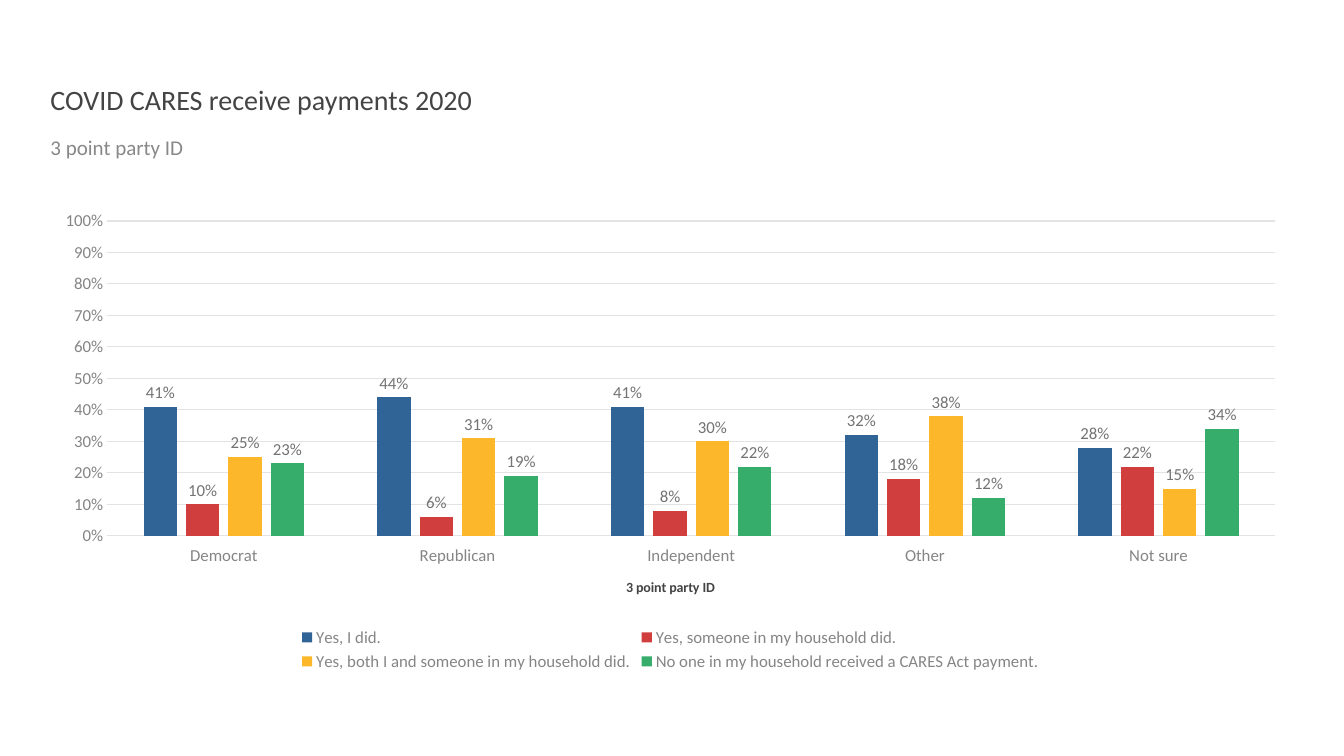
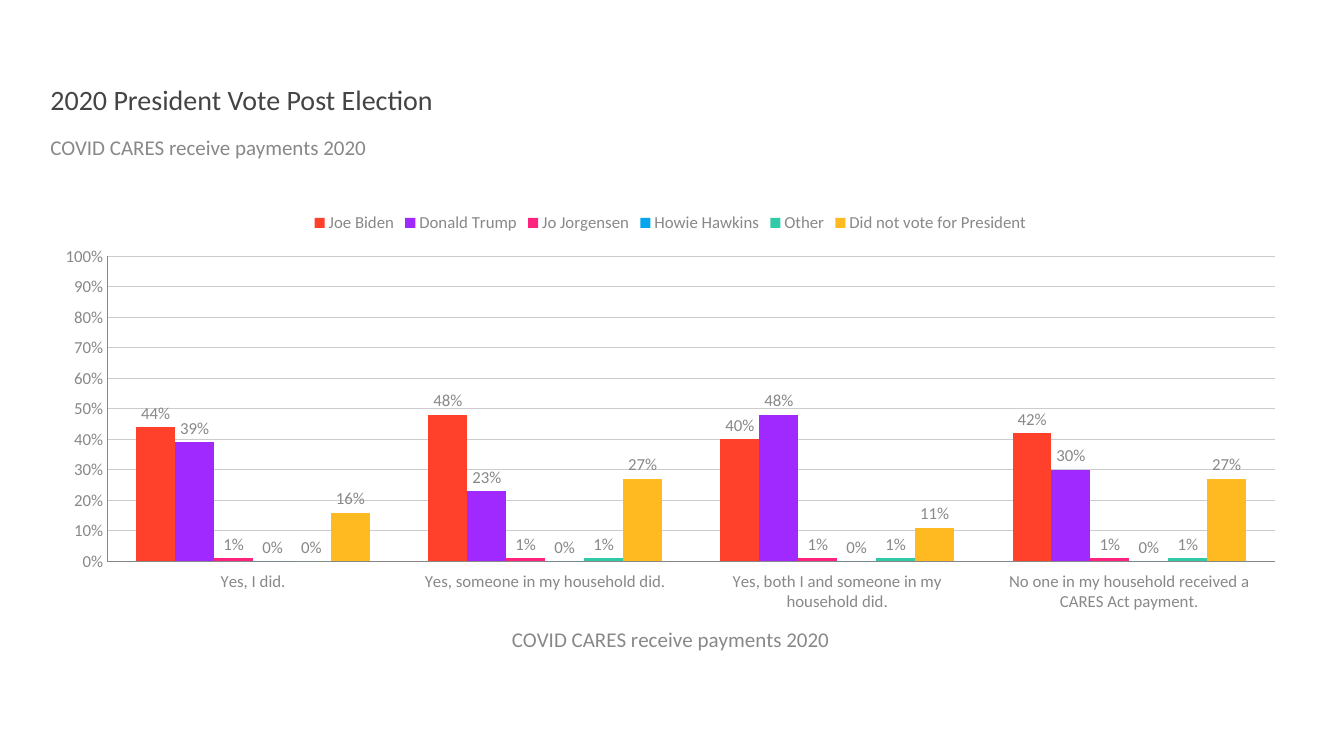
from dataclasses import dataclass

from lxml.etree import SubElement
from pptx import Presentation
from pptx.chart.data import CategoryChartData as Data
from pptx.dml.color import RGBColor
from pptx.enum.chart import XL_CHART_TYPE as Kind
from pptx.enum.chart import XL_LABEL_POSITION as Spot
from pptx.enum.chart import XL_LEGEND_POSITION as Side
from pptx.enum.chart import XL_TICK_LABEL_POSITION as Place
from pptx.enum.chart import XL_TICK_MARK as Tick
from pptx.enum.text import MSO_ANCHOR as Anchor
from pptx.enum.text import MSO_AUTO_SIZE as Fit
from pptx.enum.text import PP_ALIGN as Align
from pptx.oxml.ns import qn
from pptx.util import Inches, Pt

FACE = "Calibri"
DARK = "444444"
GREY = "888888"
LEFT = 0.4
WIDTH = 12.5
ANSWERS = (
    "Yes, I did.",
    "Yes, someone in my household did.",
    "Yes, both I and someone in my household did.",
    "No one in my household received a CARES Act payment.",
)
TOPIC = "COVID CARES receive payments 2020"
PARTY = "3 point party ID"


@dataclass(frozen=True)
class Series:
    name: str
    color: str
    values: tuple[float, ...]


@dataclass(frozen=True)
class Style:
    axis: str
    label: str
    grid: str
    line: str | None
    name_size: int
    name_color: str
    name_bold: bool
    legend: Side
    gap: int
    overlap: int


@dataclass(frozen=True)
class Page:
    title: str
    topic: str
    groups: tuple[str, ...]
    series: tuple[Series, ...]
    style: Style


PAGES = (
    Page(
        TOPIC,
        PARTY,
        ("Democrat", "Republican", "Independent", "Other", "Not sure"),
        (
            Series(ANSWERS[0], "306396", (0.41, 0.44, 0.41, 0.32, 0.28)),
            Series(ANSWERS[1], "D03E3E", (0.1, 0.06, 0.08, 0.18, 0.22)),
            Series(ANSWERS[2], "FDB72A", (0.25, 0.31, 0.3, 0.38, 0.15)),
            Series(ANSWERS[3], "37AD6C", (0.23, 0.19, 0.22, 0.12, 0.34)),
        ),
        Style("858585", "737373", "E3E3E3", "E3E3E3", 10, DARK, True,
              Side.BOTTOM, 219, -27),
    ),
    Page(
        "2020 President Vote Post Election",
        TOPIC,
        ANSWERS,
        (
            Series("Joe Biden", "FF412C", (0.44, 0.48, 0.4, 0.42)),
            Series("Donald Trump", "9F29FF", (0.39, 0.23, 0.48, 0.3)),
            Series("Jo Jorgensen", "FF2380", (0.01, 0.01, 0.01, 0.01)),
            Series("Howie Hawkins", "06A6EE", (0, 0, 0, 0)),
            Series("Other", "31CAA8", (0, 0.01, 0.01, 0.01)),
            Series("Did not vote for President", "FFBA22",
                   (0.16, 0.27, 0.11, 0.27)),
        ),
        Style(GREY, GREY, "CCCCCC", None, 15, GREY, False, Side.TOP, 150, 0),
    ),
)


def rgb(color: str) -> RGBColor:
    return RGBColor.from_string(color)


def set_font(font, size: float, color: str, bold: bool = False) -> None:
    font.name = FACE
    font.size = Pt(size)
    font.bold = bold
    font.color.rgb = rgb(color)


def set_line(line, color: str) -> None:
    line.color.rgb = rgb(color)
    line.width = Pt(0.75)


def put_text(shape, text: str, top: float, height: float, size: float,
             color: str, anchor: Anchor, before: float):
    shape.left, shape.top = Inches(LEFT), Inches(top)
    shape.width, shape.height = Inches(WIDTH), Inches(height)
    frame = shape.text_frame
    frame.text = text
    frame.auto_size = Fit.NONE
    frame.word_wrap = True
    frame.vertical_anchor = anchor
    para = frame.paragraphs[0]
    para.alignment = Align.LEFT
    para.line_spacing = 0.9
    para.space_before = Pt(before)
    set_font(para.font, size, color)
    return para


def drop_bullet(para) -> None:
    props = para._p.get_or_add_pPr()
    props.set("marL", "0")
    props.set("indent", "0")
    SubElement(props, qn("a:buNone"))


def style_axes(chart, page: Page) -> None:
    style = page.style
    groups, values = chart.category_axis, chart.value_axis
    for axis in (groups, values):
        axis.major_tick_mark = axis.minor_tick_mark = Tick.NONE
        set_font(axis.tick_labels.font, 12, style.axis)
    groups.tick_label_position = Place.LOW
    frame = groups.axis_title.text_frame
    frame.text = page.topic
    set_font(frame.paragraphs[0].font, style.name_size, style.name_color,
             style.name_bold)
    values.minimum_scale, values.maximum_scale = 0, 1
    values.major_unit = 0.1
    values.tick_labels.number_format = "0%"
    values.tick_labels.number_format_is_linked = False
    set_line(values.major_gridlines.format.line, style.grid)
    if style.line:
        set_line(groups.format.line, style.line)
        values.format.line.fill.background()


def put_chart(slide, page: Page) -> None:
    style = page.style
    data = Data(number_format="0%")
    data.categories = page.groups
    for item in page.series:
        data.add_series(item.name, item.values)
    chart = slide.shapes.add_chart(
        Kind.COLUMN_CLUSTERED, Inches(LEFT), Inches(2), Inches(WIDTH),
        Inches(4.7), data).chart
    set_font(chart.font, 12, style.axis)
    chart.has_title = False
    chart.has_legend = True
    chart.legend.position = style.legend
    chart.legend.include_in_layout = False
    set_font(chart.legend.font, 12, style.axis)
    style_axes(chart, page)
    plot = chart.plots[0]
    plot.gap_width, plot.overlap = style.gap, style.overlap
    plot.vary_by_categories = False
    for item, bars in zip(page.series, plot.series):
        bars.format.fill.solid()
        bars.format.fill.fore_color.rgb = rgb(item.color)
        bars.invert_if_negative = False
        labels = bars.data_labels
        labels.show_value = True
        labels.number_format = "0%"
        labels.number_format_is_linked = False
        labels.position = Spot.OUTSIDE_END
        set_font(labels.font, 12, style.label)


def put_page(deck, page: Page) -> None:
    slide = deck.slides.add_slide(deck.slide_layouts[1])
    title, body = slide.placeholders
    put_text(title, page.title, 0.4, 0.81, 20, DARK, Anchor.BOTTOM, 0)
    drop_bullet(put_text(body, page.topic, 1.31, 0.51, 15, GREY,
                         Anchor.TOP, 10))
    put_chart(slide, page)


def main() -> None:
    deck = Presentation()
    deck.slide_width, deck.slide_height = Inches(13.33), Inches(7.5)
    for page in PAGES:
        put_page(deck, page)
    deck.save("out.pptx")


if __name__ == "__main__":
    main()
